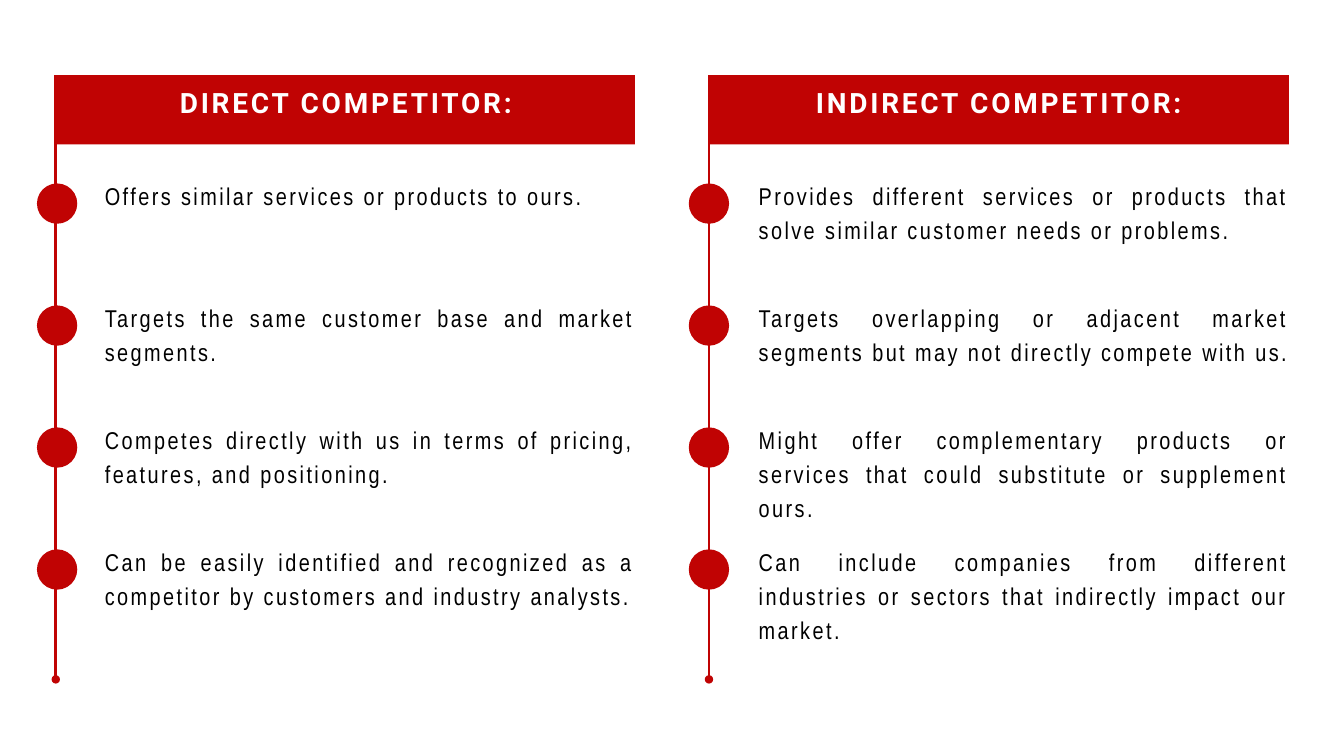
from lxml.etree import SubElement
from pptx import Presentation
from pptx.dml.color import RGBColor
from pptx.enum.shapes import MSO_CONNECTOR, MSO_SHAPE
from pptx.enum.text import MSO_ANCHOR, MSO_AUTO_SIZE, PP_ALIGN
from pptx.oxml.ns import qn
from pptx.util import Inches, Pt

RED = RGBColor(0xC0, 0x03, 0x03)
WHITE = RGBColor(0xFF, 0xFF, 0xFF)
BLACK = RGBColor(0x00, 0x00, 0x00)

# Content: one entry per column
COLUMNS = [
    {
        "title": "DIRECT COMPETITOR:",
        "points": [
            "Offers similar services or products to ours.",
            "Targets the same customer base and market segments.",
            "Competes directly with us in terms of pricing, features, and positioning.",
            "Can be easily identified and recognized as a competitor by customers "
            "and industry analysts.",
        ],
        "left": 0.85, "rail": 0.83, "text": 1.56,
    },
    {
        "title": "INDIRECT COMPETITOR:",
        "points": [
            "Provides different services or products that solve similar customer "
            "needs or problems.",
            "Targets overlapping or adjacent market segments but may not directly "
            "compete with us.",
            "Might offer complementary products or services that could substitute "
            "or supplement ours.",
            "Can include companies from different industries or sectors that "
            "indirectly impact our market.",
        ],
        "left": 10.55, "rail": 10.55, "text": 11.29,
    },
]

# Grid, in inches
BANNER_TOP, BANNER_HEIGHT = 1.12, 1.03
RAIL_BOTTOM = 10.11
FIRST_ROW, ROW_STEP = 2.62, 1.815
TEXT_WIDTH, TEXT_HEIGHT = 7.89, 1.54
DOT_SIZE, DOT_DROP = 0.6, 0.11

# Text formats
TITLE = {
    "font": {"name": "Roboto", "size": Pt(30), "bold": True},
    "para": {"alignment": PP_ALIGN.CENTER, "line_spacing": Pt(42)},
    "frame": {"vertical_anchor": MSO_ANCHOR.MIDDLE, "word_wrap": True,
              "margin_left": Inches(0.06), "margin_right": Inches(0.06),
              "margin_top": Inches(0.06), "margin_bottom": Inches(0.37)},
    "color": WHITE, "tracking": 300,
}
POINT = {
    "font": {"name": "Arial Narrow", "size": Pt(26)},
    "para": {"alignment": PP_ALIGN.JUSTIFY, "line_spacing": Pt(36.4)},
    "frame": {"vertical_anchor": MSO_ANCHOR.TOP, "word_wrap": True,
              "auto_size": MSO_AUTO_SIZE.SHAPE_TO_FIT_TEXT,
              "margin_left": 0, "margin_right": 0,
              "margin_top": 0, "margin_bottom": 0},
    "color": BLACK, "tracking": 260,
}


def apply(target, values):
    for name, value in values.items():
        setattr(target, name, value)


def write(box, text, style):
    apply(box.text_frame, style["frame"])
    para = box.text_frame.paragraphs[0]
    apply(para, style["para"])
    span = para.add_run()
    span.text = text
    apply(span.font, style["font"])
    span.font.color.rgb = style["color"]
    span.font._element.set("spc", str(style["tracking"]))


def add_red_shape(page, kind, *place):
    shape = page.shapes.add_shape(kind, *map(Inches, place))
    shape.shadow.inherit = False
    shape.fill.solid()
    shape.fill.fore_color.rgb = RED
    shape.line.fill.background()
    return shape


def add_rail(page, x):
    rail = page.shapes.add_connector(
        MSO_CONNECTOR.STRAIGHT,
        *map(Inches, (x, RAIL_BOTTOM, x, BANNER_TOP)))
    rail.line.color.rgb = RED
    rail.line.width = Pt(3)
    SubElement(rail.line._get_or_add_ln(), qn("a:headEnd"), type="oval")
    SubElement(rail._element.spPr, qn("a:effectLst"))


def add_column(page, column):
    # Banner with title
    right = column["text"] + TEXT_WIDTH
    banner = add_red_shape(page, MSO_SHAPE.RECTANGLE, column["left"], BANNER_TOP,
                           right - column["left"], BANNER_HEIGHT)
    write(banner, column["title"], TITLE)

    # Timeline with a dot and a text for each point
    add_rail(page, column["rail"])
    for row, point in enumerate(column["points"]):
        top = FIRST_ROW + row * ROW_STEP
        add_red_shape(page, MSO_SHAPE.OVAL, column["left"] - DOT_SIZE / 2,
                      top + DOT_DROP, DOT_SIZE, DOT_SIZE)
        box = page.shapes.add_textbox(
            *map(Inches, (column["text"], top, TEXT_WIDTH, TEXT_HEIGHT)))
        write(box, point, POINT)


def main():
    deck = Presentation()
    deck.slide_width, deck.slide_height = Inches(20), Inches(11.25)
    page = deck.slides.add_slide(deck.slide_layouts[6])
    for column in COLUMNS:
        add_column(page, column)
    deck.save("out.pptx")


if __name__ == "__main__":
    main()
